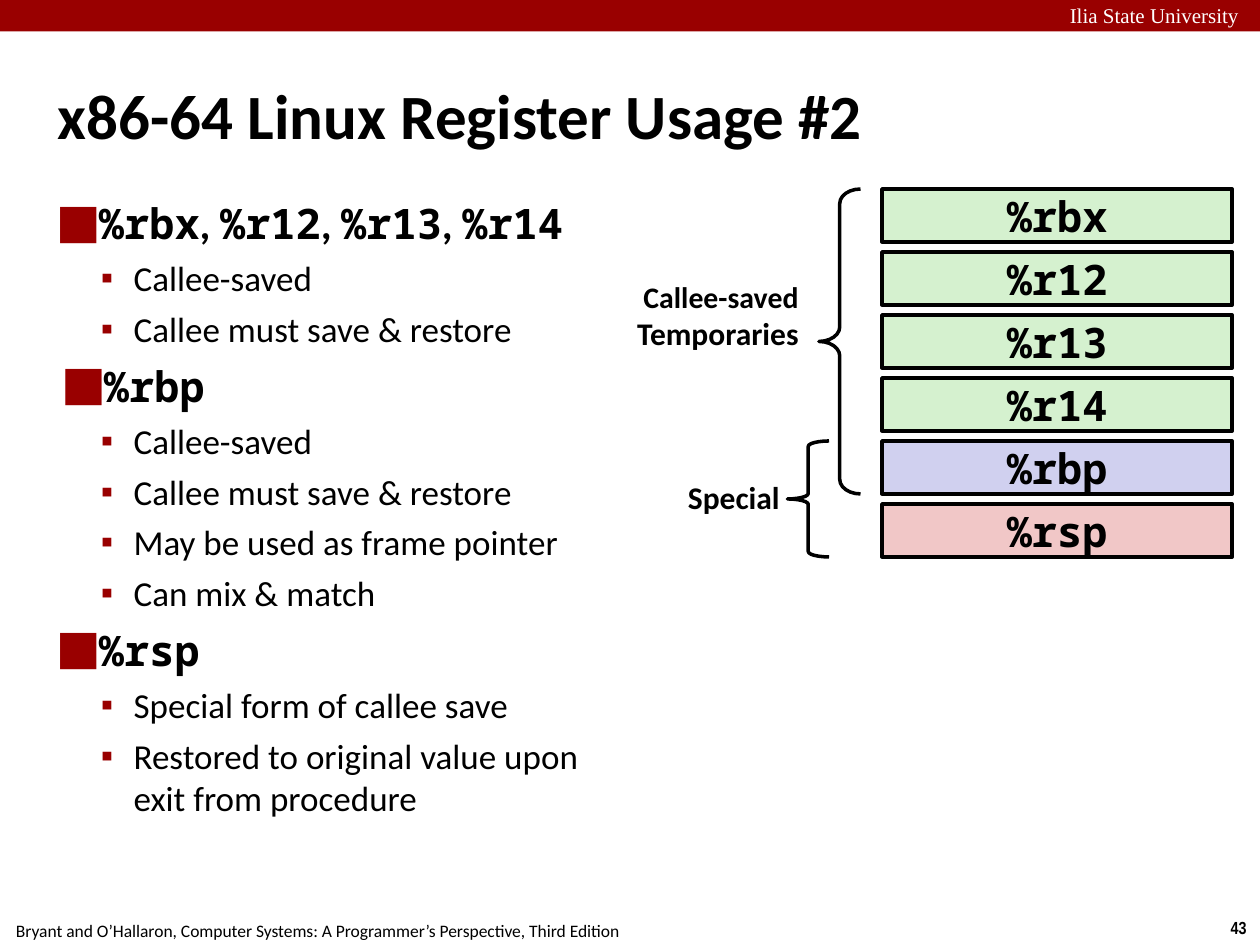
from dataclasses import dataclass

from lxml.etree import SubElement
from pptx import Presentation
from pptx.dml.color import RGBColor
from pptx.enum.shapes import MSO_SHAPE as Preset
from pptx.enum.text import MSO_ANCHOR as Anchor, MSO_AUTO_SIZE as AutoSize, PP_ALIGN as Align
from pptx.oxml.ns import qn
from pptx.util import Inches, Pt


@dataclass(frozen=True)
class Theme:
    """Colours, fonts and type sizes of the slide."""
    ink: str = "000000"
    paper: str = "FFFFFF"
    accent: str = "990000"
    temporary: str = "D5F1CF"
    frame: str = "D0D0EF"
    stack: str = "F1C7C7"
    sans: str = "Calibri"
    mono: str = "Noto Sans Mono"
    serif: str = "Times New Roman"
    narrow: str = "Arial Narrow"
    title: int = 36
    heading: int = 24
    point: int = 20
    label: int = 18
    label_small: int = 17
    banner: int = 12
    footer: int = 10
    line: int = 2


THEME = Theme()
UNIT = 0.5
REGISTER_COL, REGISTER_ROW = 14, 3
REGISTER_SIZE = (5.56, 0.84)
REGISTERS = [
    ("%rbx", THEME.temporary),
    ("%r12", THEME.temporary),
    ("%r13", THEME.temporary),
    ("%r14", THEME.temporary),
    ("%rbp", THEME.frame),
    ("%rsp", THEME.stack),
]
TOPICS = [
    (["%rbx", "%r12", "%r13", "%r14"], 0.28, ["Callee-saved", "Callee must save & restore"]),
    (["%rbp"], 0.32, ["Callee-saved", "Callee must save & restore",
                      "May be used as frame pointer", "Can mix & match"]),
    (["%rsp"], 0.28, ["Special form of callee save",
                      "Restored to original value upon exit from procedure"]),
]


def grid(*cells):
    """Turn columns and rows of the half-inch grid into lengths."""
    return [Inches(cell * UNIT) for cell in cells]


def write(paragraph, text, font=THEME.sans, size=THEME.point, bold=False,
          color=THEME.ink, align=Align.LEFT):
    """Append a formatted run to a paragraph."""
    paragraph.alignment = align
    run = paragraph.add_run()
    run.text = text
    run.font.name, run.font.size, run.font.bold = font, Pt(size), bold
    run.font.color.rgb = RGBColor.from_string(color)


def set_frame(frame, inset=(0, 0), anchor=Anchor.TOP, wrap=True):
    """Set the insets, anchor and wrapping of a text frame."""
    frame.auto_size, frame.word_wrap = AutoSize.NONE, wrap
    frame.vertical_anchor = anchor
    frame.margin_left = frame.margin_right = Inches(inset[0])
    frame.margin_top = frame.margin_bottom = Inches(inset[1])
    return frame


def add_label(slide, cells, lines, inset=(0.04, 0.04), **style):
    """Add a text box with one paragraph for each text and size."""
    frame = set_frame(slide.shapes.add_textbox(*grid(*cells)).text_frame, inset, wrap=False)
    for index, (text, size) in enumerate(lines):
        paragraph = frame.add_paragraph() if index else frame.paragraphs[0]
        write(paragraph, text, size=size, **style)


def add_preset(slide, preset, cells, fill=None, line=None):
    """Add a preset shape with an optional fill and outline."""
    shape = slide.shapes.add_shape(preset, *grid(*cells))
    shape.shadow.inherit = False
    if fill:
        shape.fill.solid()
        shape.fill.fore_color.rgb = RGBColor.from_string(fill)
    else:
        shape.fill.background()
    if line:
        shape.line.color.rgb = RGBColor.from_string(line)
        shape.line.width = Pt(THEME.line)
    else:
        shape.line.fill.background()
    return shape


def add_register(slide, index, name, fill):
    """Add one register box in its row of the stack."""
    cells = (REGISTER_COL, REGISTER_ROW + index, *REGISTER_SIZE)
    box = add_preset(slide, Preset.RECTANGLE, cells, fill, THEME.ink)
    frame = set_frame(box.text_frame, anchor=Anchor.MIDDLE)
    write(frame.paragraphs[0], name, font=THEME.mono, size=THEME.heading,
          bold=True, align=Align.CENTER)


def add_brace(slide, col, first, last, curve):
    """Add a left brace that spans register rows first to last."""
    height = last - first + REGISTER_SIZE[1]
    brace = add_preset(slide, Preset.LEFT_BRACE,
                       (col, REGISTER_ROW + first, 0.66, height), line=THEME.ink)
    brace.adjustments[0] = curve


def set_bullet(paragraph, mark, left, hanging, before):
    """Give a paragraph a coloured bullet, hanging indent and space before."""
    properties = paragraph._p.get_or_add_pPr()
    properties.set("marL", str(Inches(left)))
    properties.set("indent", str(Inches(-hanging)))
    color = SubElement(properties, qn("a:buClr"))
    SubElement(color, qn("a:srgbClr")).set("val", THEME.accent)
    SubElement(properties, qn("a:buChar")).set("char", mark)
    paragraph.space_before = Pt(before)


def fill_title(title):
    """Place and write the slide title."""
    title.left, title.top, title.width, title.height = grid(0.84, 0.56, 13.16, 2.5)
    frame = set_frame(title.text_frame, (0.04, 0.04), Anchor.MIDDLE)
    write(frame.paragraphs[0], "x86-64 Linux Register Usage #2", size=THEME.title, bold=True)


def fill_body(body):
    """Place the body and write the register topics with their points."""
    body.left, body.top, body.width, body.height = grid(0.84, 3.06, 8.88, 9.62)
    frame = set_frame(body.text_frame, (0.04, 0.04))
    for index, (registers, left, points) in enumerate(TOPICS):
        heading = frame.add_paragraph() if index else frame.paragraphs[0]
        set_bullet(heading, "⬛", left, 0.28, 6 if index else 0)
        for position, register in enumerate(registers):
            if position:
                write(heading, ", ", size=THEME.heading, bold=True)
            write(heading, register, font=THEME.mono, size=THEME.heading, bold=True)
        for point in points:
            item = frame.add_paragraph()
            item.level = 1
            set_bullet(item, "▪", 0.6, 0.26, 5)
            write(item, point)


def add_furniture(slide):
    """Add the banner, the source line and the page number."""
    add_preset(slide, Preset.RECTANGLE, (0, 0, 20, 0.5), THEME.accent)
    add_label(slide, (16.98, 0.04, 3.02, 0.38), [("Ilia State University", THEME.banner)],
              inset=(0, 0), font=THEME.serif, color=THEME.paper)
    add_label(slide, (-0.04, 14.5, 10.16, 0.5),
              [("Bryant and O’Hallaron, Computer Systems: A Programmer’s Perspective, "
                "Third Edition", THEME.footer)], inset=(0.1, 0.05), align=Align.CENTER)
    add_label(slide, (19.32, 14.46, 0.68, 0.54), [("43", THEME.footer)],
              inset=(0.1, 0.05), font=THEME.narrow, bold=True, align=Align.CENTER)


def main():
    """Build the slide and save it."""
    deck = Presentation()
    deck.slide_width, deck.slide_height = grid(20, 15)
    slide = deck.slides.add_slide(deck.slide_layouts[1])
    add_furniture(slide)
    fill_title(slide.shapes.title)
    fill_body(slide.placeholders[1])
    for index, (name, fill) in enumerate(REGISTERS):
        add_register(slide, index, name, fill)
    add_brace(slide, 13, 0, 4, 0.35)
    add_brace(slide, 12.5, 4, 5, 0.13)
    add_label(slide, (10, 4.34, 2.76, 1.38),
              [("Callee-saved", THEME.label_small), ("Temporaries", THEME.label)],
              bold=True, align=Align.RIGHT)
    add_label(slide, (10.8, 7.5, 1.66, 0.78), [("Special", THEME.label)],
              bold=True, align=Align.RIGHT)
    deck.save("out.pptx")


if __name__ == "__main__":
    main()
